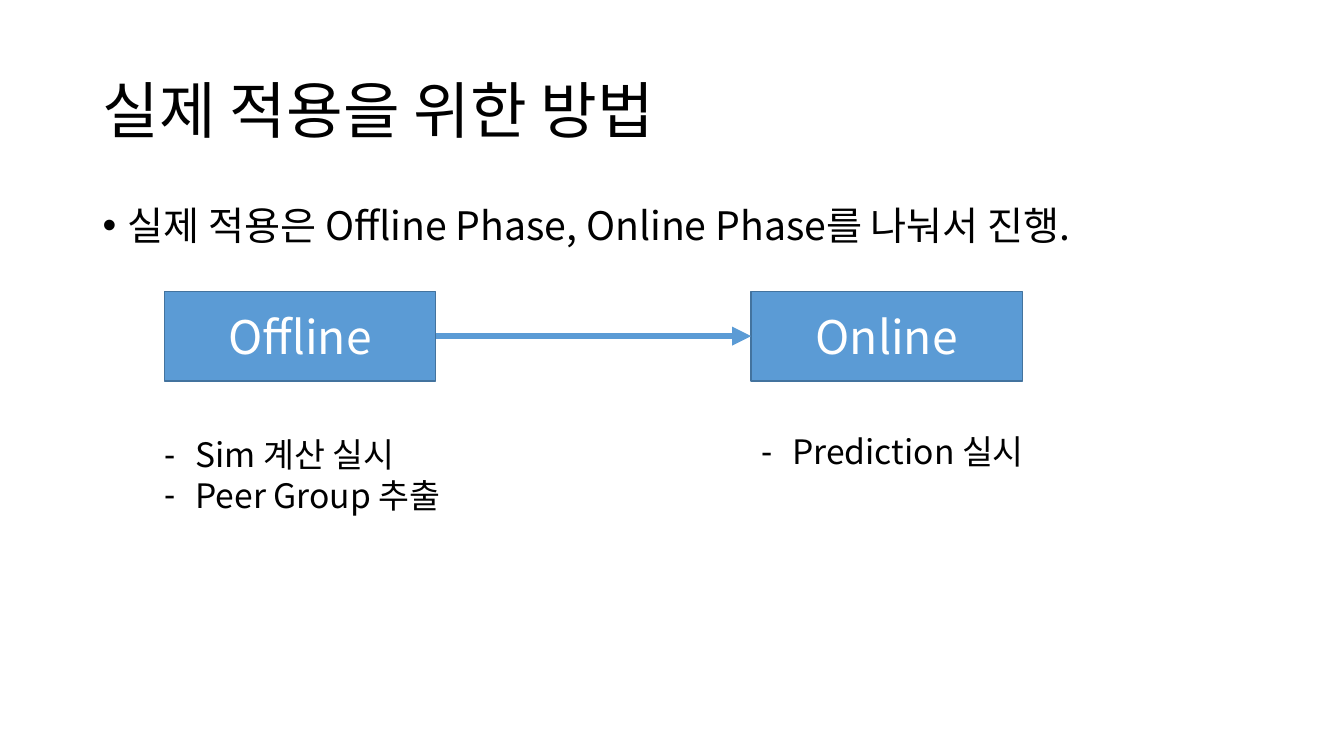
import pptx
import pptx.util
import pptx.dml.color
import pptx.enum.shapes
import pptx.enum.text
import pptx.oxml
import pptx.oxml.ns

Inches = pptx.util.Inches
Pt = pptx.util.Pt
FONT = "Noto Sans CJK KR"
COLORS = {"text": "000000", "box": "5B9BD5", "border": "43739E", "label": "FFFFFF"}
ANCHOR = pptx.enum.text.MSO_ANCHOR
ALIGN = pptx.enum.text.PP_ALIGN


def color(name):
    return pptx.dml.color.RGBColor.from_string(COLORS[name])


def add_element(parent, tag, **attributes):
    element = pptx.oxml.parse_xml(f"<a:{tag} {pptx.oxml.ns.nsdecls('a')}/>")
    for name, value in attributes.items():
        element.set(name, value)
    parent.append(element)


def apply_format(target, values):
    for name, value in values.items():
        setattr(target, name, value)


def write_paragraph(paragraph, text, size, color_name="text", bullet=None, indent=0, **values):
    apply_format(paragraph, values)
    if bullet:
        properties = paragraph._p.get_or_add_pPr()
        properties.set("marL", str(Inches(indent)))
        properties.set("indent", str(-Inches(indent)))
        add_element(properties, "buFont", typeface="Arial")
        add_element(properties, "buChar", char=bullet)
    run = paragraph.add_run()
    run.text = text
    apply_format(run.font, {"size": Pt(size), "name": FONT})
    run.font.color.rgb = color(color_name)
    add_element(run.font._element, "ea", typeface=FONT)


def add_text(slide, position, lines, size, anchor=ANCHOR.TOP, **values):
    frame = slide.shapes.add_textbox(*map(Inches, position)).text_frame
    apply_format(frame, {"word_wrap": True, "vertical_anchor": anchor})
    for index, line in enumerate(lines):
        paragraph = frame.add_paragraph() if index else frame.paragraphs[0]
        write_paragraph(paragraph, line, size, **values)


def add_phase(slide, left, label):
    shape = slide.shapes.add_shape(
        pptx.enum.shapes.MSO_SHAPE.RECTANGLE,
        Inches(left), Inches(2.89), Inches(2.69), Inches(0.89))
    shape.shadow.inherit = False
    shape.fill.solid()
    shape.fill.fore_color.rgb = color("box")
    shape.line.color.rgb = color("border")
    shape.line.width = Pt(1)
    shape.text_frame.vertical_anchor = ANCHOR.MIDDLE
    write_paragraph(shape.text_frame.paragraphs[0], label, 33, "label", alignment=ALIGN.CENTER)
    return shape


def add_arrow(slide, source, target):
    connector = slide.shapes.add_connector(
        pptx.enum.shapes.MSO_CONNECTOR.STRAIGHT, 0, 0, 0, 0)
    connector.begin_connect(source, 3)
    connector.end_connect(target, 1)
    connector.line.color.rgb = color("box")
    connector.line.width = Pt(4.5)
    add_element(connector.line._get_or_add_ln(), "tailEnd", type="triangle")
    add_element(connector._element.spPr, "effectLst")


def main():
    presentation = pptx.Presentation()
    apply_format(presentation, {"slide_width": Inches(13.33), "slide_height": Inches(7.5)})
    slide = presentation.slides.add_slide(presentation.slide_layouts[6])
    add_text(slide, (0.92, 0.4, 11.5, 1.45), ["실제 적용을 위한 방법"], 44,
             ANCHOR.MIDDLE, line_spacing=0.9)
    add_text(slide, (0.92, 2, 11.5, 4.76),
             ["실제 적용은 Offline Phase, Online Phase를 나눠서 진행."], 28,
             bullet="•", indent=0.25, line_spacing=0.9, space_before=Pt(10))
    offline = add_phase(slide, 1.63, "Offline")
    online = add_phase(slide, 7.45, "Online")
    add_arrow(slide, offline, online)
    for position, steps in (
        ((1.53, 4.26, 3.53, 1.21), ["Sim 계산 실시", "Peer Group 추출"]),
        ((7.45, 4.23, 3.53, 0.5), ["Prediction 실시"]),
    ):
        add_text(slide, position, steps, 24, bullet="-", indent=0.31)
    presentation.save("out.pptx")


main()
